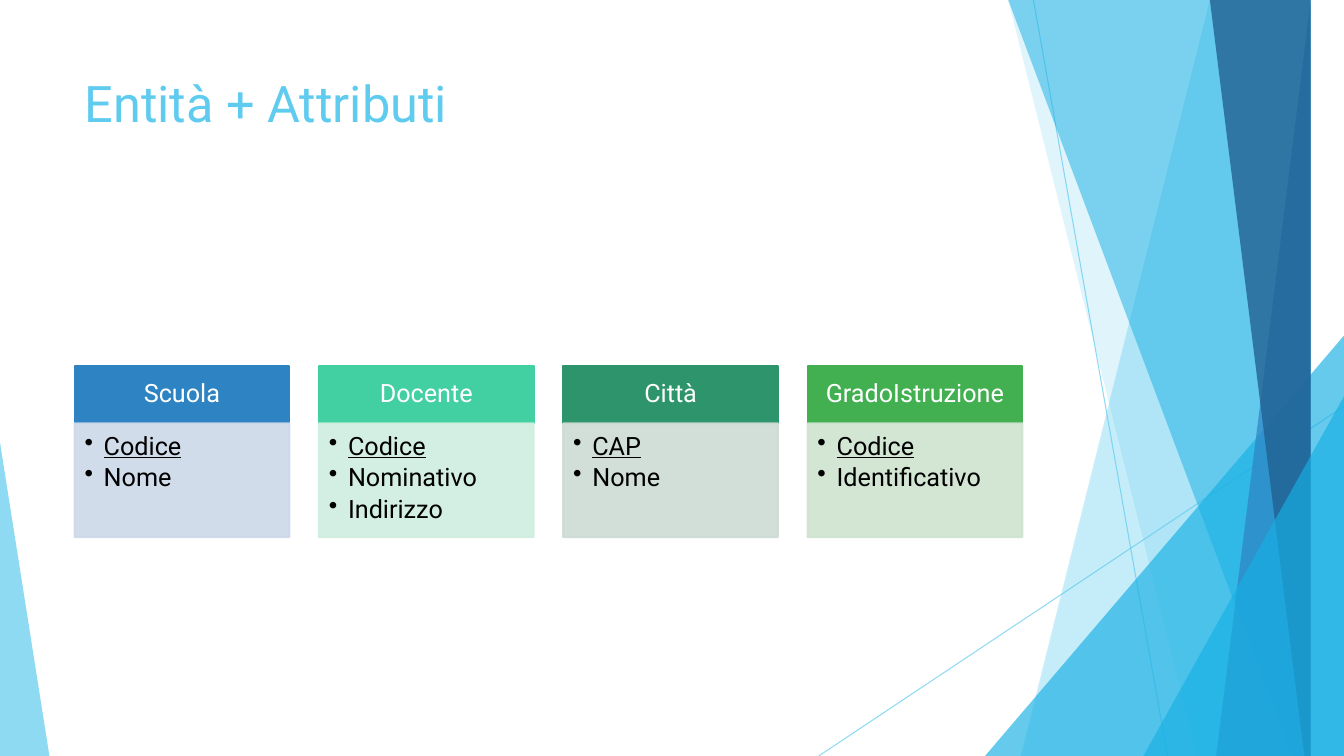
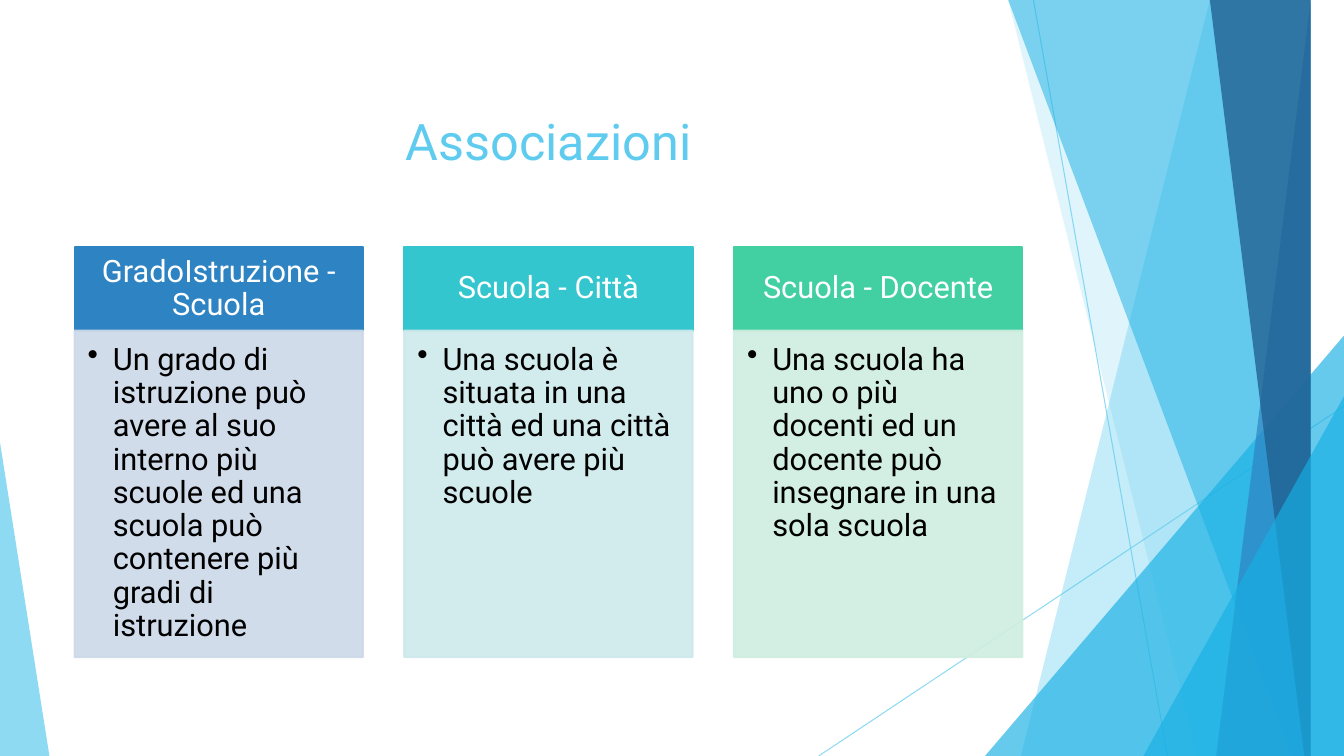
from lxml import etree
from pptx import Presentation
from pptx import util as u
from pptx.dml.color import RGBColor
from pptx.enum import shapes, text
from pptx.oxml import ns

SKY = RGBColor(0x5F, 0xCB, 0xEF)
CYAN = RGBColor(0x17, 0xB0, 0xE4)
BLUE = RGBColor(0x2E, 0x83, 0xC3)
NAVY = RGBColor(0x22, 0x62, 0x92)
TEAL = RGBColor(0x34, 0xC6, 0xCE)
MINT = RGBColor(0x42, 0xD0, 0xA2)
PINE = RGBColor(0x2E, 0x94, 0x6B)
GREEN = RGBColor(0x42, 0xB0, 0x51)
WHITE = RGBColor(0xFF, 0xFF, 0xFF)
BLACK = RGBColor(0, 0, 0)
TINTS = {
    BLUE: RGBColor(0xCD, 0xD9, 0xE9),
    TEAL: RGBColor(0xCE, 0xE9, 0xEC),
    MINT: RGBColor(0xCF, 0xEE, 0xE0),
    PINE: RGBColor(0xCD, 0xDC, 0xD4),
    GREEN: RGBColor(0xCF, 0xE4, 0xD0),
}
FONT = "Roboto"
WIDE, HIGH = 13.33, 7.5
LEFT, SPAN = 0.74, 9.4

LINES = [(10.25, 0, 11.58, HIGH), (WIDE, 4.03, 8.12, HIGH)]
BANDS = [
    ("slant", 12.28, 10.04, SKY, 36),
    ("slant", 10.5, 11.83, SKY, 20),
    ("wedge", (9.77, 3.33, 3.56, 4.17), 1, CYAN, 66),
    ("slant", 10.21, 12.91, CYAN, 50),
    ("slant", 13.03, 11.92, BLUE, 70),
    ("slant", 11.96, 13.18, NAVY, 80),
    ("wedge", (11.34, 3.93, 1.99, 3.57), 1, CYAN, 66),
    ("wedge", (0, 4.39, 0.49, 3.11), 0, SKY, 70),
]

SMALL = dict(top=3.63, wide=2.13, head=0.57, body=1.13, size=18, dent=0.19,
             cap=(0.14, 0.08, 0.14, 0.08), pad=(0.1, 0.1, 0.14, 0.16))
LARGE = dict(top=2.45, wide=2.86, head=0.83, body=3.24, size=22, dent=0.25,
             cap=(0.17, 0.1, 0.17, 0.1), pad=(0.13, 0.13, 0.17, 0.19))

TABLES = [
    ("Scuola", BLUE, ["Codice", "Nome"]),
    ("Docente", MINT, ["Codice", "Nominativo", "Indirizzo"]),
    ("Città", PINE, ["CAP", "Nome"]),
    ("GradoIstruzione", GREEN, ["Codice", "Identificativo"]),
]
LINKS = [
    ("GradoIstruzione - Scuola", BLUE,
     ["Un grado di istruzione può avere al suo interno più scuole "
      "ed una scuola può contenere più gradi di istruzione"]),
    ("Scuola - Città", TEAL,
     ["Una scuola è situata in una città ed una città può avere più scuole"]),
    ("Scuola - Docente", MINT,
     ["Una scuola ha uno o più docenti ed un docente può insegnare "
      "in una sola scuola"]),
]


def style(item, **vals):
    for name, val in vals.items():
        setattr(item, name, val)


def place(item, box):
    style(item, **dict(zip(("left", "top", "width", "height"), map(u.Inches, box))))


def fade(item, share):
    for node in item.element.iter(ns.qn("a:srgbClr")):
        etree.SubElement(node, ns.qn("a:alpha"), val=str(share * 1000))


def paint(item, color, share=100, edge=False):
    item.shadow.inherit = False
    item.fill.solid()
    item.fill.fore_color.rgb = color
    if edge:
        item.line.color.rgb = color
        item.line.width = u.Pt(1.5)
    else:
        item.line.fill.background()
    if share < 100:
        fade(item, share)


def write(para, words, size, color, **more):
    run = para.add_run()
    run.text = words
    style(run.font, name=FONT, size=u.Pt(size), **more)
    run.font.color.rgb = color


def line(slide, ends):
    item = slide.shapes.add_connector(shapes.MSO_CONNECTOR.STRAIGHT, *map(u.Inches, ends))
    item.line.color.rgb = SKY
    item.line.width = u.Pt(0.75)
    fade(item, 70)
    etree.SubElement(item.element.spPr, ns.qn("a:effectLst"))
    return item


def slant(slide, top, base, color, share):
    pen = slide.shapes.build_freeform(top, -0.01, scale=u.Inches(1))
    pen.add_line_segments([(WIDE, -0.01), (WIDE, HIGH), (base, HIGH)], close=True)
    item = pen.convert_to_shape()
    paint(item, color, share)
    return item


def wedge(slide, box, peak, color, share):
    item = slide.shapes.add_shape(shapes.MSO_SHAPE.ISOSCELES_TRIANGLE, *map(u.Inches, box))
    item.adjustments[0] = peak
    paint(item, color, share)
    return item


def dress(slide):
    draw = {"slant": slant, "wedge": wedge}
    items = [line(slide, ends) for ends in LINES]
    items += [draw[kind](slide, *args) for kind, *args in BANDS]
    tree = slide.slide_layout.shapes.element
    for spot, item in enumerate(items, 2):
        tree.insert(spot, item.element)


def title(slide, words, side, hold):
    item = slide.shapes.title
    place(item, (LEFT, 0.67, SPAN, 1.44))
    style(item.text_frame, vertical_anchor=hold, word_wrap=True,
          auto_size=text.MSO_AUTO_SIZE.NONE)
    para = item.text_frame.paragraphs[0]
    para.alignment = side
    write(para, words, 36, SKY)


def block(slide, box, color, share, pad, hold):
    item = slide.shapes.add_shape(shapes.MSO_SHAPE.RECTANGLE, *map(u.Inches, box))
    paint(item, color, share, edge=True)
    frame = item.text_frame
    sides = ("margin_left", "margin_top", "margin_right", "margin_bottom")
    style(frame, word_wrap=True, vertical_anchor=hold,
          **dict(zip(sides, map(u.Inches, pad))))
    return frame


def bullet(para, dent):
    props = para._p.get_or_add_pPr()
    props.set("marL", str(u.Inches(dent)))
    props.set("indent", str(-u.Inches(dent)))
    etree.SubElement(props, ns.qn("a:buChar"), char="•")


def card(slide, left, form, name, color, rows):
    top, wide, size = form["top"], form["wide"], form["size"]
    frame = block(slide, (left, top, wide, form["head"]), color, 100,
                  form["cap"], text.MSO_ANCHOR.MIDDLE)
    para = frame.paragraphs[0]
    style(para, alignment=text.PP_ALIGN.CENTER, line_spacing=0.9)
    write(para, name, size, WHITE)

    frame = block(slide, (left, top + form["head"], wide, form["body"]),
                  TINTS[color], 90, form["pad"], text.MSO_ANCHOR.TOP)
    for spot, words in enumerate(rows):
        para = frame.add_paragraph() if spot else frame.paragraphs[0]
        bullet(para, form["dent"])
        style(para, alignment=text.PP_ALIGN.LEFT, line_spacing=0.9, space_after=u.Pt(3))
        key = len(rows) > 1 and spot == 0
        write(para, words, size, BLACK, underline=key)


def cards(slide, form, data):
    step = (SPAN - form["wide"]) / (len(data) - 1)
    for spot, entry in enumerate(data):
        card(slide, LEFT + spot * step, form, *entry)


def main():
    deck = Presentation()
    style(deck, slide_width=u.Inches(WIDE), slide_height=u.Inches(HIGH))
    plan = deck.slide_layouts[5]

    first = deck.slides.add_slide(plan)
    dress(first)
    title(first, "Entità + Attributi", text.PP_ALIGN.LEFT, text.MSO_ANCHOR.TOP)
    cards(first, SMALL, TABLES)

    second = deck.slides.add_slide(plan)
    title(second, "Associazioni", text.PP_ALIGN.CENTER, text.MSO_ANCHOR.MIDDLE)
    cards(second, LARGE, LINKS)

    deck.save("out.pptx")


if __name__ == "__main__":
    main()
